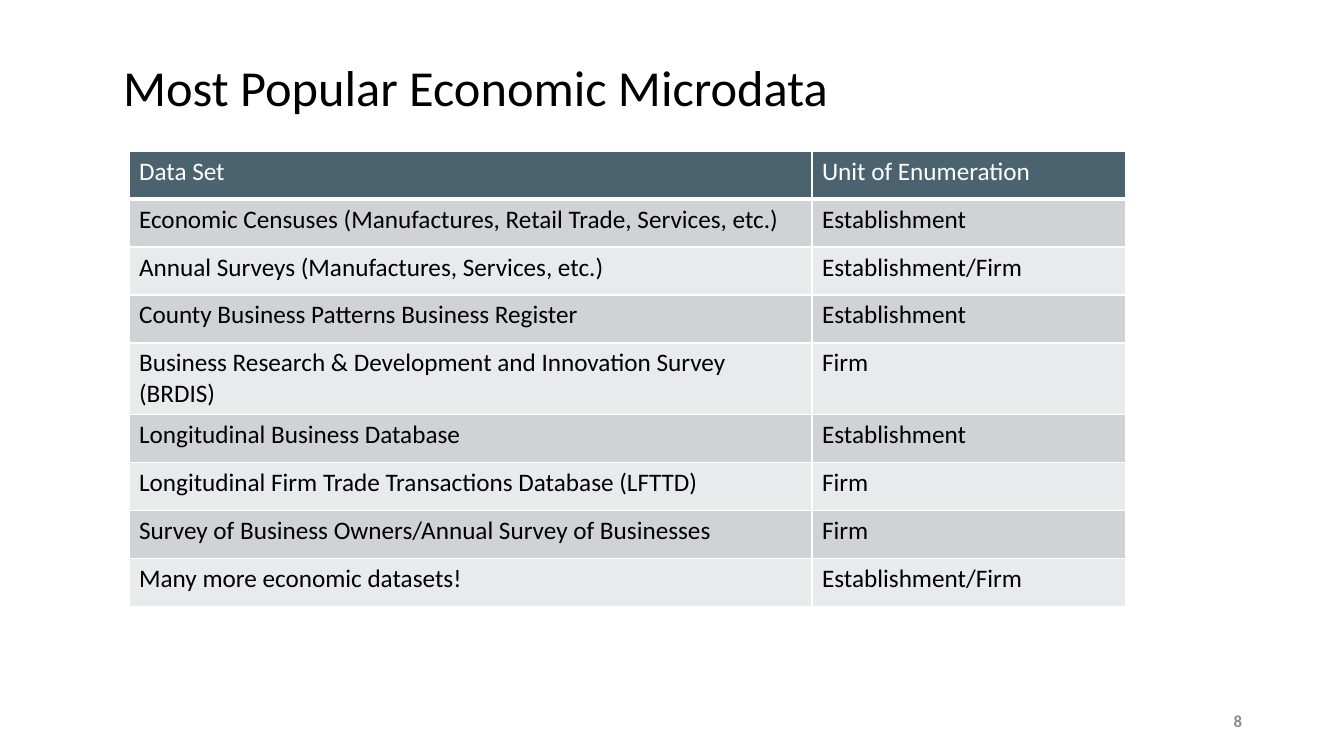
import pptx
import pptx.util
import pptx.dml.color
import pptx.enum.text
import pptx.oxml
import pptx.oxml.ns

PX = 914400 / 100.8
FONT = "Calibri"
HEX = {
    "black": "000000",
    "white": "FFFFFF",
    "head": "4B636E",
    "dark": "D0D3D5",
    "light": "E9EAEB",
    "num": "8C8C8C",
}
ROWS = [
    ("Data Set", "Unit of Enumeration"),
    ("Economic Censuses (Manufactures, Retail Trade, Services, etc.)", "Establishment"),
    ("Annual Surveys (Manufactures, Services, etc.)", "Establishment/Firm"),
    ("County Business Patterns Business Register", "Establishment"),
    ("Business Research & Development and Innovation Survey (BRDIS)", "Firm"),
    ("Longitudinal Business Database", "Establishment"),
    ("Longitudinal Firm Trade Transactions Database (LFTTD)", "Firm"),
    ("Survey of Business Owners/Annual Survey of Businesses", "Firm"),
    ("Many more economic datasets!", "Establishment/Firm"),
]


def emu(*px):
    return [pptx.util.Emu(round(n * PX)) for n in px]


def write(frame, text, size, color, bold=False):
    run = frame.paragraphs[0].add_run()
    run.text = text
    run.font.name = FONT
    run.font.size = pptx.util.Pt(size)
    run.font.bold = bold
    run.font.color.rgb = pptx.dml.color.RGBColor.from_string(HEX[color])


# Slide
deck = pptx.Presentation()
deck.slide_width, deck.slide_height = emu(1344, 756)
slide = deck.slides.add_slide(deck.slide_layouts[5])

# Title
title = slide.shapes.title
title.left, title.top, title.width, title.height = emu(113, 30, 1012, 121)
frame = title.text_frame
frame.word_wrap = True
frame.vertical_anchor = pptx.enum.text.MSO_ANCHOR.MIDDLE
frame.paragraphs[0].alignment = pptx.enum.text.PP_ALIGN.LEFT
frame.paragraphs[0].line_spacing = 0.9
write(frame, "Most Popular Economic Microdata", 36, "black")

# Table
high = 48
table = slide.shapes.add_table(
    len(ROWS), 2, *emu(129, 151, 997, high * len(ROWS))
).table
for col, wide in zip(table.columns, emu(683, 314)):
    col.width = wide

for r, texts in enumerate(ROWS):
    table.rows[r].height = emu(high)[0]
    fill = "head" if r == 0 else "dark" if r % 2 else "light"
    for c, text in enumerate(texts):
        cell = table.cell(r, c)
        write(cell.text_frame, text, 18, "black" if r else "white")
        cell.fill.solid()
        cell.fill.fore_color.rgb = pptx.dml.color.RGBColor.from_string(HEX[fill])

        # Cell borders, placed ahead of the fill
        props = cell._tc.get_or_add_tcPr()
        for i, side in enumerate(("lnL", "lnR", "lnT", "lnB")):
            wide = pptx.util.Pt(3 if r == 0 and side == "lnB" else 1)
            props.insert(i, pptx.oxml.parse_xml(
                f'<a:{side} {pptx.oxml.ns.nsdecls("a")} w="{wide}"><a:solidFill>'
                f'<a:srgbClr val="{HEX["white"]}"/></a:solidFill></a:{side}>'
            ))

# Page number
frame = slide.shapes.add_textbox(*emu(950, 701, 302, 40)).text_frame
frame.word_wrap = True
frame.vertical_anchor = pptx.enum.text.MSO_ANCHOR.MIDDLE
frame.paragraphs[0].alignment = pptx.enum.text.PP_ALIGN.RIGHT
write(frame, "8", 12, "num", True)

deck.save("out.pptx")
